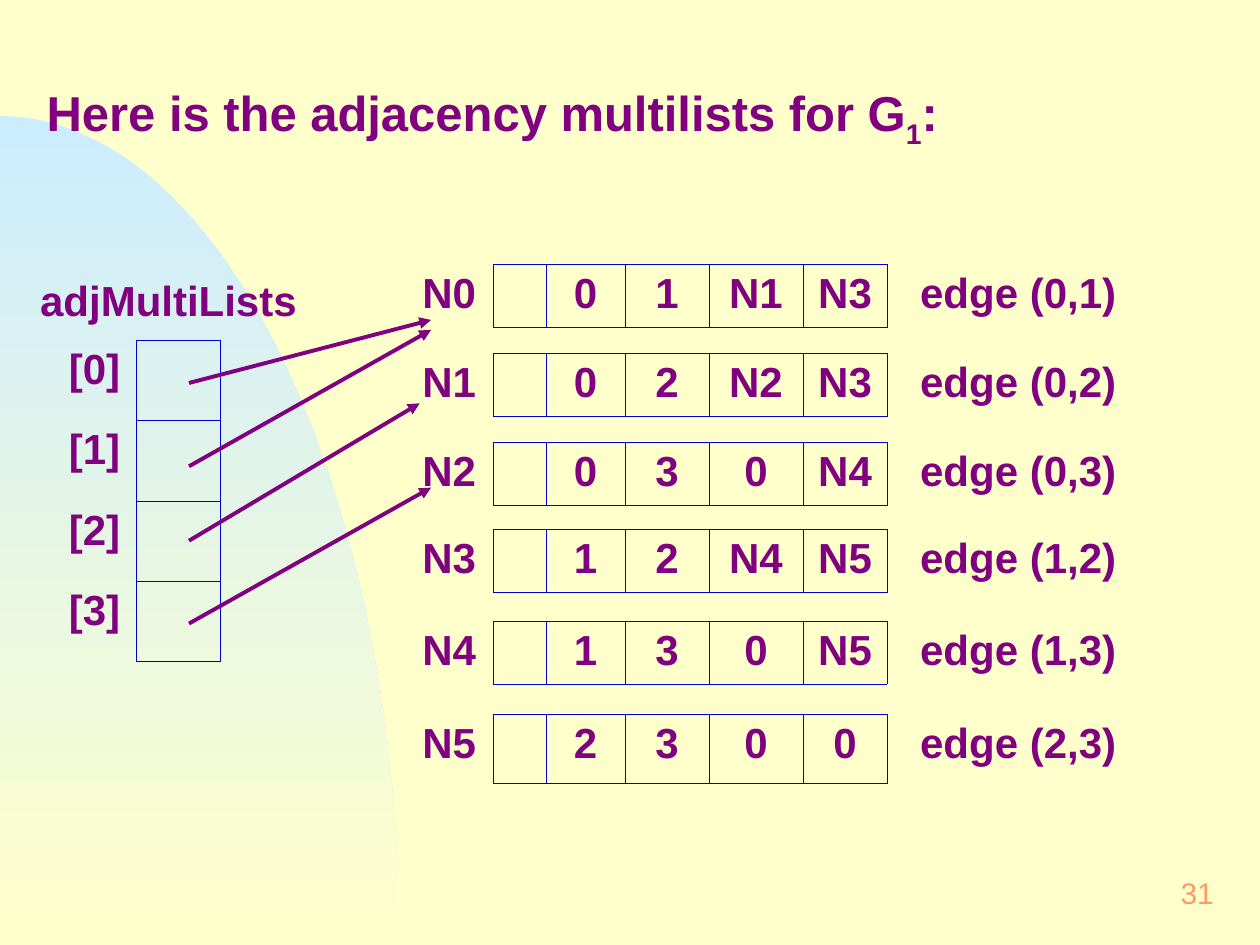
import math

from lxml import etree
from pptx import Presentation
from pptx.dml.color import RGBColor
from pptx.enum import shapes, text
from pptx.oxml import ns
from pptx.util import Cm, Pt

COLORS = {
    "paper": "FFFFCC",
    "sky": "CCECFF",
    "ink": "800080",
    "grid": "0000CC",
    "number": "FF9966",
}
NO_STYLE = "{2D5ABB26-0587-4C30-8999-92F81FD0307C}"


def rgb(name):
    return RGBColor.from_string(COLORS[name])


class Deck:
    font = "Arial"

    def __init__(self, prs):
        self.s = prs.slides.add_slide(prs.slide_layouts[6])
        fill = self.s.background.fill
        fill.solid()
        fill.fore_color.rgb = rgb("paper")

    def style(self, p, size, color="ink", bold=True, align=text.PP_ALIGN.LEFT):
        p.alignment = align
        p.font.name = self.font
        p.font.size = Pt(size)
        p.font.bold = bold
        p.font.color.rgb = rgb(color)

    def quarter_ellipse(self, top, width, height, steps=90):
        angles = [math.pi / 2 * i / steps for i in range(steps + 1)]
        points = [
            (Cm(width * math.sin(a)), Cm(top + height * (1 - math.cos(a))))
            for a in angles
        ]
        builder = self.s.shapes.build_freeform(*points[0])
        builder.add_line_segments(points[1:] + [(0, Cm(top + height))])
        sp = builder.convert_to_shape()
        sp.shadow.inherit = False
        sp.line.fill.background()
        sp.fill.gradient()
        sp.fill.gradient_angle = 270
        for stop, position, color in zip(sp.fill.gradient_stops, (0, 1), ("sky", "paper")):
            stop.position = position
            stop.color.rgb = rgb(color)

    def text_box(self, left, top, width, height, parts, size, **style):
        sp = self.s.shapes.add_textbox(Cm(left), Cm(top), Cm(width), Cm(height))
        tf = sp.text_frame
        tf.word_wrap = True
        tf.margin_left = tf.margin_right = Cm(0.3)
        tf.margin_top = tf.margin_bottom = Cm(0.15)
        p = tf.paragraphs[0]
        for content, baseline in parts:
            r = p.add_run()
            r.text = content
            if baseline:
                r.font._element.set("baseline", str(baseline * 1000))
        self.style(p, size, **style)
        return tf

    def border(self, cell, sides):
        tc_pr = cell._tc.get_or_add_tcPr()
        for side in sides:
            ln = etree.SubElement(tc_pr, ns.qn("a:ln" + side), w=str(Pt(0.45)))
            fill = etree.SubElement(ln, ns.qn("a:solidFill"))
            etree.SubElement(fill, ns.qn("a:srgbClr"), val=COLORS["grid"])

    def table(self, left, top, widths, height, rows, boxed):
        frame = self.s.shapes.add_table(
            len(rows), len(widths), Cm(left), Cm(top),
            Cm(sum(widths)), Cm(height * len(rows)),
        )
        table = frame.table
        table.first_row = table.horz_banding = False
        table._tbl.tblPr.find(ns.qn("a:tableStyleId")).text = NO_STYLE
        for column, width in zip(table.columns, widths):
            column.width = Cm(width)
        for i, values in enumerate(rows):
            table.rows[i].height = Cm(height)
            for j, value in enumerate(values):
                cell = table.cell(i, j)
                if j in boxed:
                    self.border(cell, "LRTB")
                elif j + 1 in boxed:
                    self.border(cell, "R")
                elif j - 1 in boxed:
                    self.border(cell, "L")
                cell.fill.background()
                cell.text = value
                self.style(cell.text_frame.paragraphs[0], 24, align=text.PP_ALIGN.CENTER)
        return table

    def arrow(self, x1, y1, x2, y2):
        line = self.s.shapes.add_connector(
            shapes.MSO_CONNECTOR.STRAIGHT, Cm(x1), Cm(y1), Cm(x2), Cm(y2)
        )
        line.line.color.rgb = rgb("ink")
        line.line.width = Pt(2.25)
        etree.SubElement(line.line._get_or_add_ln(), ns.qn("a:tailEnd"), type="triangle")
        etree.SubElement(line._element.spPr, ns.qn("a:effectLst"))


def main():
    prs = Presentation()
    prs.slide_width, prs.slide_height = Cm(25.4), Cm(19.05)
    deck = Deck(prs)

    deck.quarter_ellipse(2.34, 8.05, 16.71)
    number = deck.text_box(
        19.48, 17.35, 5.29, 1.27, [("31", 0)], 17,
        color="number", bold=False, align=text.PP_ALIGN.RIGHT,
    )
    number.vertical_anchor = text.MSO_ANCHOR.MIDDLE

    title = [("Here is the adjacency multilists for G", 0), ("1", -25), (":", 0)]
    for tf in (
        deck.text_box(0.64, 1.52, 24.33, 1.68, title, 28),
        deck.text_box(0.51, 5.38, 5.8, 1.32, [("adjMultiLists", 0)], 24),
    ):
        tf.auto_size = text.MSO_AUTO_SIZE.SHAPE_TO_FIT_TEXT

    heads = [(f"[{i}]", "") for i in range(4)]
    deck.table(1.06, 6.86, [1.69, 1.69], 1.62, heads, boxed=[1])

    nodes = [
        (5.33, 0, 1, "N1", "N3"),
        (7.13, 0, 2, "N2", "N3"),
        (8.92, 0, 3, "0", "N4"),
        (10.67, 1, 2, "N4", "N5"),
        (12.52, 1, 3, "0", "N5"),
        (14.4, 2, 3, "0", "0"),
    ]
    widths = [1.69, 1.06, 1.59, 1.69, 1.9, 1.69, 5.29]
    for i, (top, a, b, next_a, next_b) in enumerate(nodes):
        height = 1.4 if i == len(nodes) - 1 else 1.27
        row = [f"N{i}", "", str(a), str(b), next_a, next_b, f"edge ({a},{b})"]
        table = deck.table(8.26, top, widths, height, [row], boxed=range(1, 6))
        table.cell(0, 0).text_frame.paragraphs[0].alignment = text.PP_ALIGN.LEFT

    for y1, x2, y2 in (
        (7.72, 8.69, 6.45),
        (9.4, 8.69, 6.65),
        (10.9, 8.46, 8.13),
        (12.57, 8.69, 9.83),
    ):
        deck.arrow(3.81, y1, x2, y2)

    prs.save("out.pptx")


if __name__ == "__main__":
    main()
